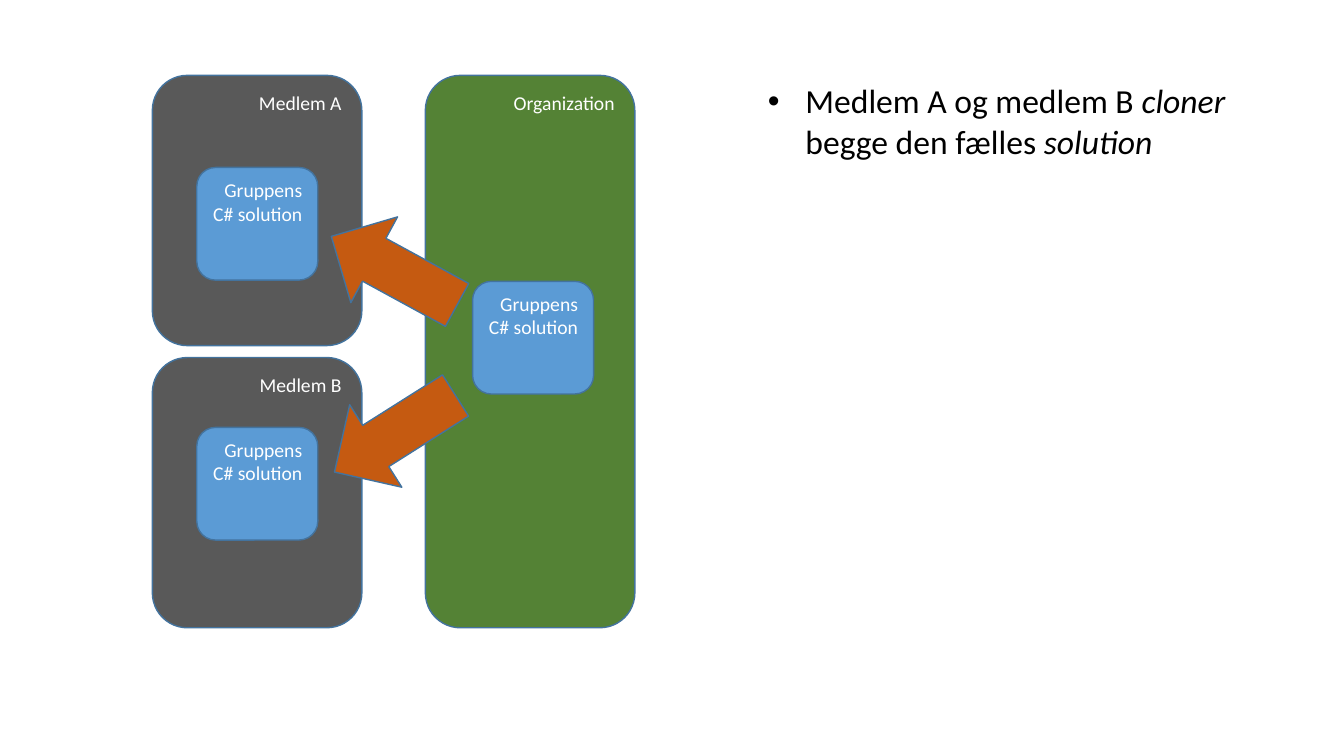
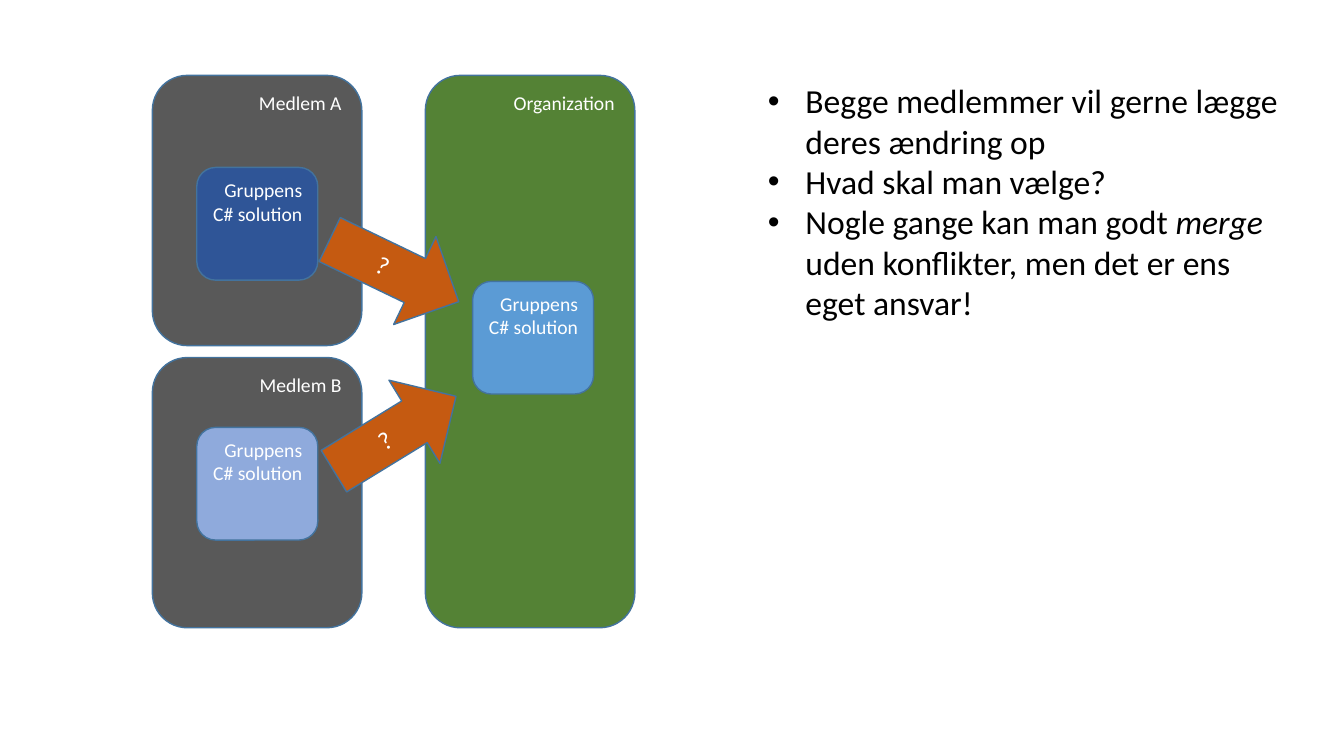
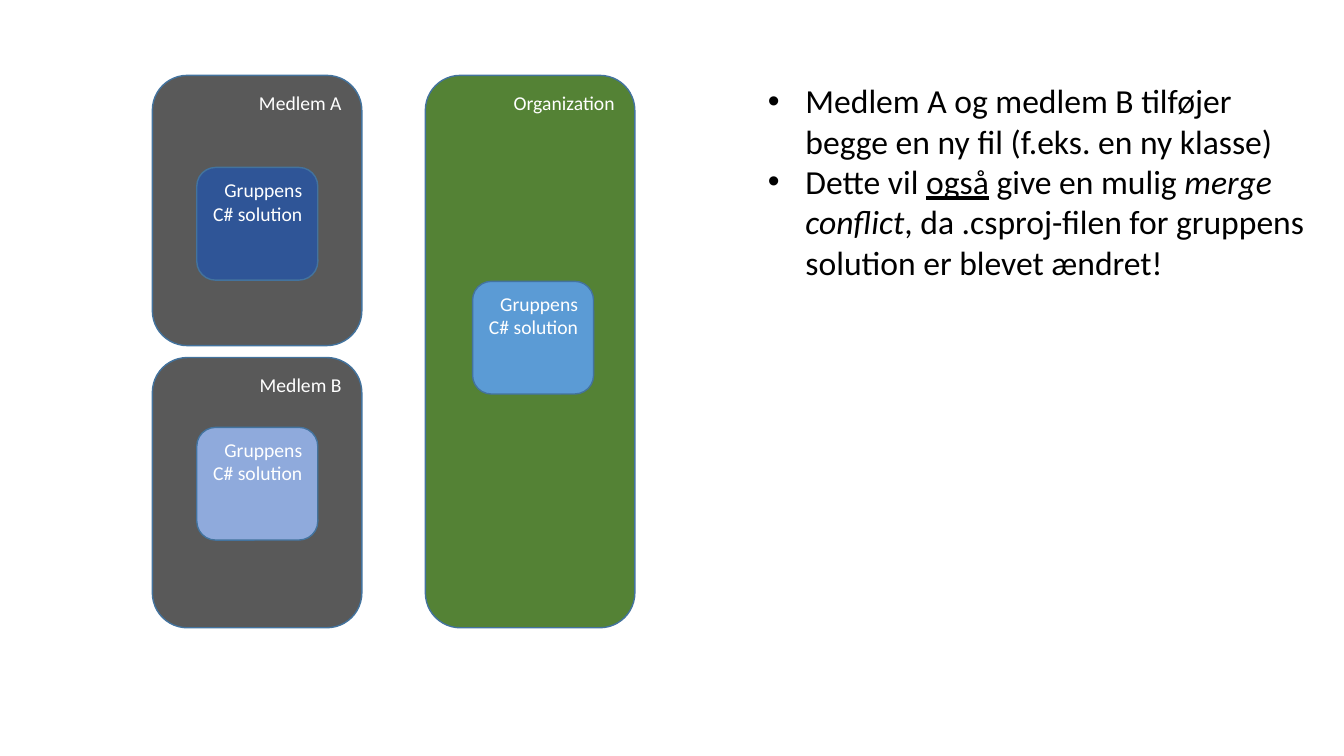
from dataclasses import dataclass

from lxml.etree import SubElement
from pptx import Presentation
from pptx.dml.color import RGBColor
from pptx.enum.shapes import MSO_SHAPE
from pptx.enum.text import MSO_ANCHOR, MSO_AUTO_SIZE, PP_ALIGN
from pptx.oxml.ns import qn
from pptx.util import Cm, Pt


@dataclass(frozen=True)
class Theme:
    font: str = "Calibri"
    label_size: int = 14
    arrow_size: int = 18
    bullet_size: int = 24
    outline: str = "43739E"
    member: str = "595959"
    organization: str = "548235"
    shared: str = "5B9BD5"
    changed_a: str = "2F5597"
    changed_b: str = "8FAADC"
    arrow: str = "C55A11"
    light: str = "FFFFFF"
    dark: str = "000000"


THEME = Theme()

# Layout in centimetres
TOP = 1.9
MEMBER_LEFT, ORGANIZATION_LEFT, BULLETS_LEFT = 3.84, 10.72, 19.1
PANEL_WIDTH, MEMBER_HEIGHT, MEMBER_GAP = 5.28, 6.81, 0.3
MEMBER_B_TOP = TOP + MEMBER_HEIGHT + MEMBER_GAP
ORGANIZATION_HEIGHT = 2 * MEMBER_HEIGHT + MEMBER_GAP
SOLUTION_SIZE = (3.05, 2.84)
SOLUTION_SPOTS = ((11.91, 7.09), (4.96, 4.22), (4.96, 10.77))
ARROW_SIZE = (3.61, 2.46)
ARROW_SPOTS = ((8.13, 5.59), (8.15, 9.7))
BULLET_INDENT = 0.95

# Run styles
PLAIN, ITALIC, UNDERLINE = {}, {"italic": True}, {"underline": True}


def apply_formats(target, formats):
    for attribute, value in formats.items():
        setattr(target, attribute, value)


def style_font(font, size, color, **formats):
    apply_formats(font, {"name": THEME.font, "size": Pt(size), **formats})
    font.color.rgb = RGBColor.from_string(color)


def add_figure(slide, preset, spot, size, fill, text, text_size, align, anchor):
    """Outlined preset shape with an optional light label."""
    figure = slide.shapes.add_shape(preset, *map(Cm, spot + size))
    figure.shadow.inherit = False
    figure.fill.solid()
    figure.fill.fore_color.rgb = RGBColor.from_string(fill)
    figure.line.color.rgb = RGBColor.from_string(THEME.outline)
    figure.line.width = Pt(1)
    if text:
        apply_formats(figure.text_frame, {"word_wrap": True, "vertical_anchor": anchor})
        paragraph = figure.text_frame.paragraphs[0]
        apply_formats(paragraph, {"text": text, "alignment": align})
        style_font(paragraph.runs[0].font, text_size, THEME.light)
    return figure


def add_box(slide, spot, size, fill, label):
    add_figure(slide, MSO_SHAPE.ROUNDED_RECTANGLE, spot, size, fill, label,
               THEME.label_size, PP_ALIGN.RIGHT, MSO_ANCHOR.TOP)


def add_arrow(slide, spot, rotation, label):
    arrow = add_figure(slide, MSO_SHAPE.RIGHT_ARROW, spot, ARROW_SIZE, THEME.arrow, label,
                       THEME.arrow_size, PP_ALIGN.CENTER, MSO_ANCHOR.MIDDLE)
    arrow.rotation = rotation


def add_bullets(slide, width, height, bullets):
    """Bulleted text; each bullet is a list of (text, run style) pairs."""
    box = slide.shapes.add_textbox(*map(Cm, (BULLETS_LEFT, TOP, width, height)))
    frame = box.text_frame
    apply_formats(frame, {"word_wrap": True, "auto_size": MSO_AUTO_SIZE.SHAPE_TO_FIT_TEXT})
    for index, pieces in enumerate(bullets):
        paragraph = frame.add_paragraph() if index else frame.paragraphs[0]
        properties = paragraph._p.get_or_add_pPr()
        properties.set("marL", str(Cm(BULLET_INDENT)))
        properties.set("indent", str(-Cm(BULLET_INDENT)))
        SubElement(properties, qn("a:buFont"), typeface="Arial")
        SubElement(properties, qn("a:buChar"), char="•")
        for text, style in pieces:
            run = paragraph.add_run()
            run.text = text
            style_font(run.font, THEME.bullet_size, THEME.dark, **style)


def add_repositories(slide, color_a, color_b):
    """The organization, both members and the solution each one holds."""
    add_box(slide, (ORGANIZATION_LEFT, TOP), (PANEL_WIDTH, ORGANIZATION_HEIGHT),
            THEME.organization, "Organization")
    for name, top in (("Medlem A", TOP), ("Medlem B", MEMBER_B_TOP)):
        add_box(slide, (MEMBER_LEFT, top), (PANEL_WIDTH, MEMBER_HEIGHT), THEME.member, name)
    for spot, color in zip(SOLUTION_SPOTS, (THEME.shared, color_a, color_b)):
        add_box(slide, spot, SOLUTION_SIZE, color, "Gruppens C# solution")


# Per slide: solution colours, arrow rotations and label, bullet box size, bullets
CHANGED = (THEME.changed_a, THEME.changed_b)
SLIDES = (
    # Cloning
    ((THEME.shared, THEME.shared), (208.6, 147.7), "", (12.47, 3.33), [
        [("Medlem A og medlem B ", PLAIN), ("cloner", ITALIC),
         (" begge den fælles ", PLAIN), ("solution", ITALIC)],
    ]),
    # Competing changes
    (CHANGED, (25.7, 328.5), "?", (13.49, 6.4), [
        [("Begge medlemmer vil gerne lægge deres ændring op", PLAIN)],
        [("Hvad skal man vælge?", PLAIN)],
        [("Nogle gange kan man godt ", PLAIN), ("merge", ITALIC),
         (" uden konflikter, men det er ens eget ansvar!", PLAIN)],
    ]),
    # New files
    (CHANGED, (), "", (14.07, 6.4), [
        [("Medlem A og medlem B tilføjer begge en ny fil (f.eks. en ny klasse)", PLAIN)],
        [("Dette vil ", PLAIN), ("også", UNDERLINE), (" give en mulig ", PLAIN),
         ("merge conflict", ITALIC),
         (", da .csproj-filen for gruppens solution er blevet ændret!", PLAIN)],
    ]),
)


def main():
    deck = Presentation()
    apply_formats(deck, {"slide_width": Cm(33.87), "slide_height": Cm(19.05)})
    for colors, rotations, arrow_label, bullets_size, bullets in SLIDES:
        slide = deck.slides.add_slide(deck.slide_layouts[6])
        add_repositories(slide, *colors)
        add_bullets(slide, *bullets_size, bullets)
        for spot, rotation in zip(ARROW_SPOTS, rotations):
            add_arrow(slide, spot, rotation, arrow_label)
    deck.save("out.pptx")


if __name__ == "__main__":
    main()
